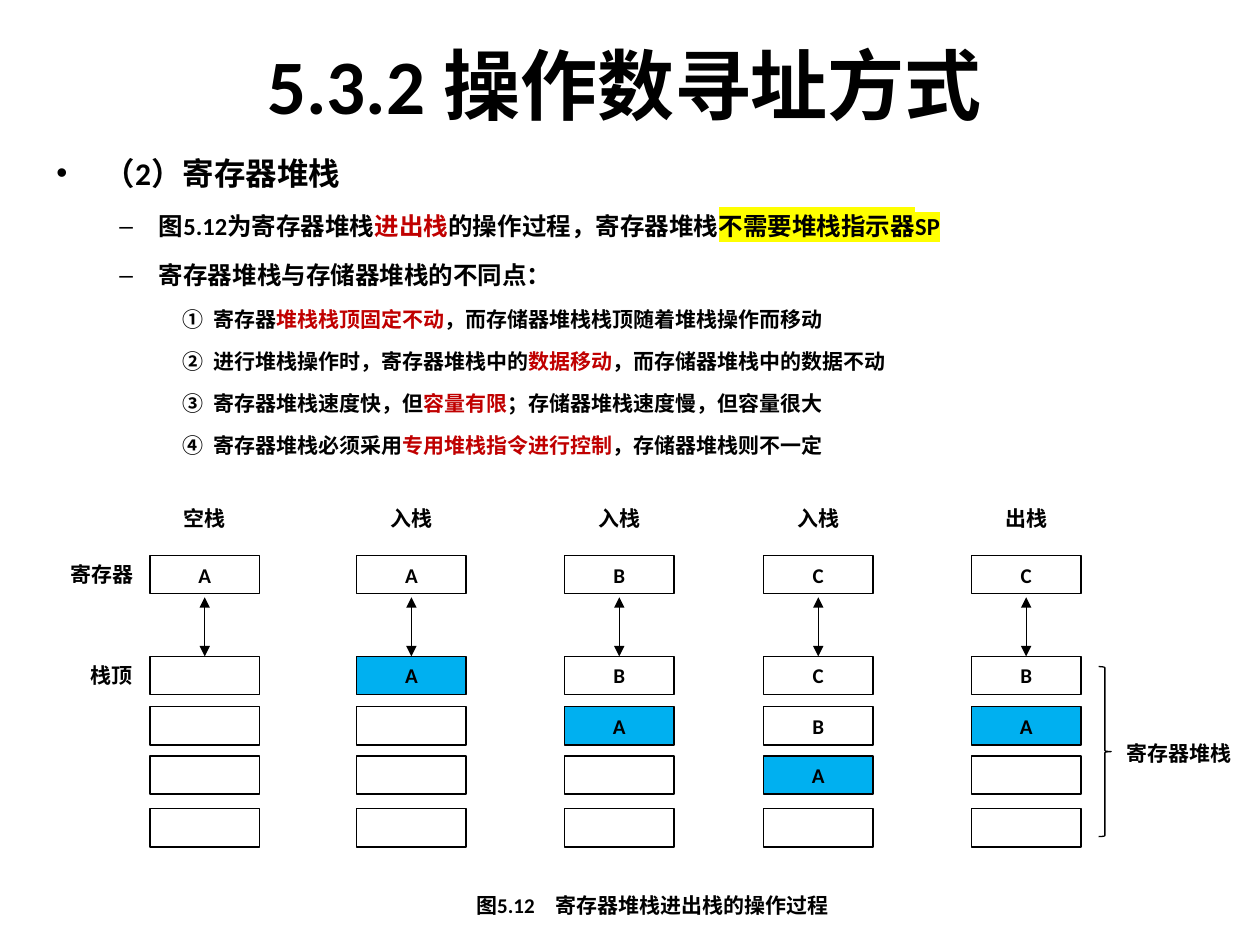
from dataclasses import dataclass
from typing import Optional

from lxml.etree import SubElement
from pptx import Presentation
from pptx.dml.color import RGBColor
from pptx.enum.shapes import MSO_CONNECTOR as Connector, MSO_SHAPE as Shape
from pptx.enum.text import MSO_ANCHOR as Anchor, PP_ALIGN as Align
from pptx.oxml.ns import qn
from pptx.util import Pt


@dataclass(frozen=True)
class Theme:
    font: str = "Calibri"
    black: str = "000000"
    white: str = "FFFFFF"
    red: str = "C00000"
    blue: str = "00B0F0"
    yellow: str = "FFFF00"
    title: float = 44
    heading: float = 18
    point: float = 14
    small: float = 12
    line: float = 0.75


THEME = Theme()


@dataclass(frozen=True)
class Span:
    text: str
    color: str = THEME.black
    highlight: Optional[str] = None


@dataclass(frozen=True)
class Level:
    size: float
    margin: float
    hanging: float
    bullet: str
    spacing: float
    before: float


@dataclass(frozen=True)
class Box:
    left: float
    top: float
    width: float
    height: float

    def lengths(self):
        return Pt(self.left), Pt(self.top), Pt(self.width), Pt(self.height)


@dataclass(frozen=True)
class StackState:
    left: float
    label: str
    register: str
    cells: str  # stack contents from the top down
    blank_fill: Optional[str] = THEME.white


NUMBERED = "circleNumDbPlain"
HEADING = Level(THEME.heading, 27, 27, "•", 1, 0)
POINT = Level(THEME.point, 58.5, 22.5, "–", 1.5, 2.8)
DETAIL = Level(THEME.small, 90, 18, NUMBERED, 1.5, 2.4)

BODY = [
    (HEADING, [Span("（2）寄存器堆栈")]),
    (POINT, [Span("图5.12为寄存器堆栈"), Span("进出栈", THEME.red),
             Span("的操作过程，寄存器堆栈"),
             Span("不需要堆栈指示器SP", highlight=THEME.yellow)]),
    (POINT, [Span("寄存器堆栈与存储器堆栈的不同点：")]),
    (DETAIL, [Span("寄存器"), Span("堆栈栈顶固定不动", THEME.red),
              Span("，而存储器堆栈栈顶随着堆栈操作而移动")]),
    (DETAIL, [Span("进行堆栈操作时，寄存器堆栈中的"), Span("数据移动", THEME.red),
              Span("，而存储器堆栈中的数据不动")]),
    (DETAIL, [Span("寄存器堆栈速度快，但"), Span("容量有限", THEME.red),
              Span("；存储器堆栈速度慢，但容量很大")]),
    (DETAIL, [Span("寄存器堆栈必须采用"), Span("专用堆栈指令进行控制", THEME.red),
              Span("，存储器堆栈则不一定")]),
]

STATES = [
    StackState(85.7, "空栈", "A", ""),
    StackState(203.8, "入栈", "A", "A"),
    StackState(322.6, "入栈", "B", "BA"),
    StackState(436.3, "入栈", "C", "CBA", None),
    StackState(555.1, "出栈", "C", "BA"),
]
CELL_WIDTH, CELL_HEIGHT = 62.6, 21.8
LABEL_TOP, REGISTER_TOP, ARROW_TOP = 285.1, 317.5, 341.3
STACK_TOPS = (375.1, 403.9, 432, 462.2)


def rgb(color: str) -> RGBColor:
    return RGBColor.from_string(color)


def add_span(paragraph, span: Span, size: float) -> None:
    run = paragraph.add_run()
    run.text = span.text
    run.font.size = Pt(size)
    run.font.bold = True
    run.font.color.rgb = rgb(span.color)
    if span.highlight:
        highlight = SubElement(run.font._element, qn("a:highlight"))
        SubElement(highlight, qn("a:srgbClr"), val=span.highlight)
    run.font.name = THEME.font


def add_text(slide, box: Box, text: str, size: float = THEME.small,
             align: Align = Align.LEFT, wrap: bool = False) -> None:
    frame = slide.shapes.add_textbox(*box.lengths()).text_frame
    frame.word_wrap = wrap
    frame.vertical_anchor = Anchor.MIDDLE if size == THEME.title else Anchor.TOP
    frame.paragraphs[0].alignment = align
    add_span(frame.paragraphs[0], Span(text), size)


def format_level(paragraph, level: Level) -> None:
    properties = paragraph._p.get_or_add_pPr()
    properties.set("marL", str(Pt(level.margin)))
    properties.set("indent", str(-Pt(level.hanging)))
    if level.bullet == NUMBERED:
        SubElement(properties, qn("a:buFont"), typeface="+mj-ea")
        SubElement(properties, qn("a:buAutoNum"), type=NUMBERED)
    else:
        SubElement(properties, qn("a:buFont"), typeface="Arial")
        SubElement(properties, qn("a:buChar"), char=level.bullet)
    paragraph.line_spacing = level.spacing
    paragraph.space_before = Pt(level.before)


def add_body(slide, box: Box) -> None:
    frame = slide.shapes.add_textbox(*box.lengths()).text_frame
    frame.word_wrap = True
    for index, (level, spans) in enumerate(BODY):
        paragraph = frame.add_paragraph() if index else frame.paragraphs[0]
        format_level(paragraph, level)
        for span in spans:
            add_span(paragraph, span, level.size)


def add_outline(slide, kind: Shape, box: Box, fill: Optional[str]):
    shape = slide.shapes.add_shape(kind, *box.lengths())
    shape.shadow.inherit = False
    if fill:
        shape.fill.solid()
        shape.fill.fore_color.rgb = rgb(fill)
    else:
        shape.fill.background()
    shape.line.color.rgb = rgb(THEME.black)
    shape.line.width = Pt(THEME.line)
    return shape


def add_cell(slide, left: float, top: float, text: str, fill: Optional[str]) -> None:
    shape = add_outline(slide, Shape.RECTANGLE, Box(left, top, CELL_WIDTH, CELL_HEIGHT), fill)
    if text:
        paragraph = shape.text_frame.paragraphs[0]
        paragraph.alignment = Align.CENTER
        add_span(paragraph, Span(text), THEME.small)


def add_double_arrow(slide, x: float, top: float, bottom: float) -> None:
    arrow = slide.shapes.add_connector(Connector.STRAIGHT, Pt(x), Pt(top), Pt(x), Pt(bottom))
    arrow.line.color.rgb = rgb(THEME.black)
    arrow.line.width = Pt(THEME.line)
    for end in ("a:headEnd", "a:tailEnd"):
        SubElement(arrow.line._get_or_add_ln(), qn(end), type="triangle")
    SubElement(arrow._element.spPr, qn("a:effectLst"))


def add_state(slide, state: StackState) -> None:
    label_box = Box(state.left + (CELL_WIDTH - 38.9) / 2, LABEL_TOP, 38.9, CELL_HEIGHT)
    add_text(slide, label_box, state.label, align=Align.CENTER)
    add_cell(slide, state.left, REGISTER_TOP, state.register, state.blank_fill)
    for top, text in zip(STACK_TOPS, state.cells.ljust(len(STACK_TOPS))):
        fill = THEME.blue if text == "A" else state.blank_fill
        add_cell(slide, state.left, top, text.strip(), fill)
    add_double_arrow(slide, state.left + CELL_WIDTH / 2, ARROW_TOP, STACK_TOPS[0])


def main() -> None:
    presentation = Presentation()
    presentation.slide_width, presentation.slide_height = Pt(720), Pt(540)
    slide = presentation.slides.add_slide(presentation.slide_layouts[6])

    # Title and points
    add_text(slide, Box(33.1, 2.9, 648, 90), "5.3.2 操作数寻址方式", THEME.title, Align.CENTER, True)
    add_body(slide, Box(25.2, 84.2, 648, 198))

    # Stack states
    for state in STATES:
        add_state(slide, state)

    # Labels, brace and caption
    add_text(slide, Box(33.1, REGISTER_TOP, 51.1, CELL_HEIGHT), "寄存器")
    add_text(slide, Box(44.6, STACK_TOPS[0], 38.9, CELL_HEIGHT), "栈顶")
    add_outline(slide, Shape.RIGHT_BRACE, Box(627.8, 380.9, 7.2, 97.2), None)
    add_text(slide, Box(636.5, 419.8, 74.9, CELL_HEIGHT), "寄存器堆栈")
    add_text(slide, Box(265, 506.2, 217.4, CELL_HEIGHT), "图5.12　寄存器堆栈进出栈的操作过程", wrap=True)

    presentation.save("out.pptx")


if __name__ == "__main__":
    main()
